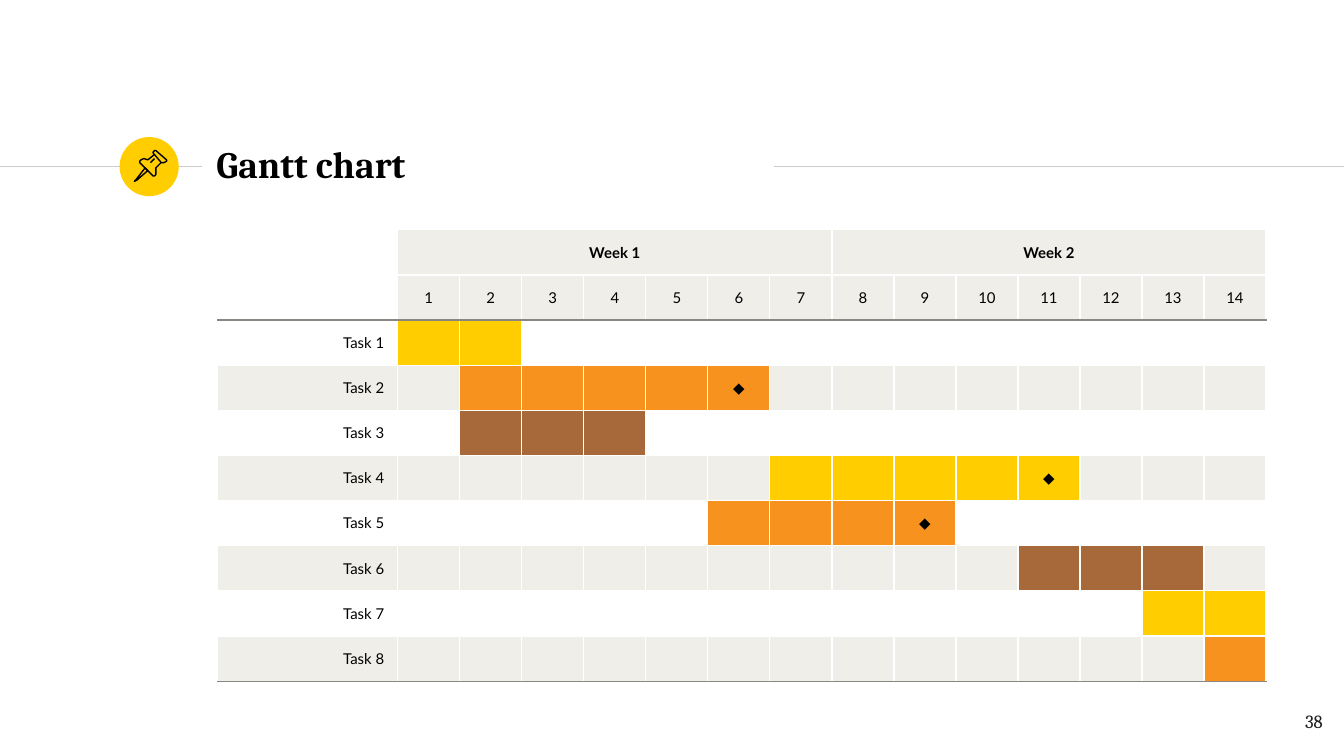
from lxml import etree
from pptx import Presentation
from pptx.dml.color import RGBColor
from pptx.enum.shapes import MSO_CONNECTOR, MSO_SHAPE
from pptx.enum.text import MSO_ANCHOR, PP_ALIGN
from pptx.oxml.ns import qn
from pptx.util import Inches, Pt

STRAIGHT, OVAL = MSO_CONNECTOR.STRAIGHT, MSO_SHAPE.OVAL
MIDDLE = MSO_ANCHOR.MIDDLE
LEFT, CENTER, RIGHT = PP_ALIGN.LEFT, PP_ALIGN.CENTER, PP_ALIGN.RIGHT

BLACK = RGBColor(0x00, 0x00, 0x00)
INK = RGBColor(0x1D, 0x1D, 0x1B)
WHITE = RGBColor(0xFF, 0xFF, 0xFF)
RULE_GRAY = RGBColor(0xCC, 0xCC, 0xCC)
BORDER_GRAY = RGBColor(0x8A, 0x86, 0x82)
BAND = RGBColor(0xF0, 0xEE, 0xE9)
YELLOW = RGBColor(0xFF, 0xCD, 0x00)
ORANGE = RGBColor(0xF6, 0x92, 0x1D)
BROWN = RGBColor(0xA7, 0x69, 0x3A)

TITLE = "Gantt chart"
PAGE = "38"
WEEKS = ["Week 1", "Week 2"]
DAYS_PER_WEEK = 7
MILESTONE = "◆"
TASKS = [
    ("Task 1", 1, 2, YELLOW, None),
    ("Task 2", 2, 6, ORANGE, 6),
    ("Task 3", 2, 4, BROWN, None),
    ("Task 4", 7, 11, YELLOW, 11),
    ("Task 5", 6, 9, ORANGE, 9),
    ("Task 6", 11, 13, BROWN, None),
    ("Task 7", 13, 14, YELLOW, None),
    ("Task 8", 14, 14, ORANGE, None),
]
PIN_PARTS = [
    ([(108, 125), (101, 134), (100, 135), (102, 134), (110, 127)], True),
    ([(115, 115), (120, 121), (122, 121), (123.5, 120.5), (124, 120),
      (124, 119), (116, 112), (115, 112), (114, 113), (114, 114)], True),
    ([(115, 115), (110, 119), (107, 118.5), (105, 119), (104, 120),
      (104, 121), (114, 131), (115, 131), (116, 130), (116.5, 128),
      (116, 125), (120, 121)], False),
    ([(112, 121), (115, 118)], False),
]

SLIDE_W = 10
SLIDE_H = SLIDE_W * 9 / 16
RULE_Y = 1.24
TABLE_LEFT, TABLE_TOP, TABLE_RIGHT, TABLE_BOTTOM = 1.62, 1.71, 9.42, 5.07
LABEL_W = 1.34
HEADER_ROWS = 2
DAYS = len(WEEKS) * DAYS_PER_WEEK
DAY_W = (TABLE_RIGHT - TABLE_LEFT - LABEL_W) / DAYS
ROWS = HEADER_ROWS + len(TASKS)
ROW_H = (TABLE_BOTTOM - TABLE_TOP) / ROWS


def write(frame, text, font, size, color, align, bold=False):
    paragraph = frame.paragraphs[0]
    paragraph.text = text
    paragraph.alignment = align
    paragraph.font.name = font
    paragraph.font.size = Pt(size)
    paragraph.font.bold = bold
    paragraph.font.color.rgb = color
    if not text:
        etree.SubElement(paragraph._p, qn("a:endParaRPr"), sz=str(size * 100))


def pad(frame):
    frame.margin_left = frame.margin_right = Inches(0.1)
    frame.margin_top = frame.margin_bottom = Inches(0.1)
    frame.word_wrap = True


def add_rule(slide, start, end):
    rule = slide.shapes.add_connector(
        STRAIGHT, Inches(start), Inches(RULE_Y), Inches(end), Inches(RULE_Y))
    rule.line.color.rgb = RULE_GRAY
    rule.line.width = Pt(0.75)
    etree.SubElement(rule._element.spPr, qn("a:effectLst"))


def add_badge(slide):
    badge = slide.shapes.add_shape(
        OVAL, Inches(0.89), Inches(1.02), Inches(0.44), Inches(0.44))
    badge.shadow.inherit = False
    badge.fill.solid()
    badge.fill.fore_color.rgb = YELLOW
    badge.line.fill.background()
    for points, closed in PIN_PARTS:
        builder = slide.shapes.build_freeform(*points[0], scale=Inches(0.01))
        builder.add_line_segments(points[1:], close=closed)
        part = builder.convert_to_shape()
        part.shadow.inherit = False
        part.fill.background()
        part.line.color.rgb = BLACK
        part.line.width = Pt(0.75)


def set_borders(cell, row):
    properties = cell._tc.get_or_add_tcPr()
    gray_top = row == HEADER_ROWS
    gray_bottom = row in (HEADER_ROWS - 1, ROWS - 1)
    sides = [("a:lnL", False), ("a:lnR", False),
             ("a:lnT", gray_top), ("a:lnB", gray_bottom)]
    for position, (tag, gray) in enumerate(sides):
        border = etree.Element(qn(tag), w=str(Pt(0.75)))
        fill = etree.SubElement(border, qn("a:solidFill"))
        etree.SubElement(fill, qn("a:srgbClr"),
                         val=str(BORDER_GRAY if gray else WHITE))
        properties.insert(position, border)


def cell_content(row, day):
    if row < HEADER_ROWS:
        if day == 0:
            return "", None
        if row == 1:
            return str(day), BAND
        week, offset = divmod(day - 1, DAYS_PER_WEEK)
        return (WEEKS[week] if offset == 0 else ""), BAND
    name, first, last, color, milestone = TASKS[row - HEADER_ROWS]
    band = BAND if (row - HEADER_ROWS) % 2 else None
    if day == 0:
        return name, band
    return (MILESTONE if day == milestone else "",
            color if first <= day <= last else band)


def add_gantt(slide):
    table = slide.shapes.add_table(
        ROWS, DAYS + 1, Inches(TABLE_LEFT), Inches(TABLE_TOP),
        Inches(TABLE_RIGHT - TABLE_LEFT), Inches(ROWS * ROW_H)).table
    table.first_row = table.horz_banding = False
    for day, column in enumerate(table.columns):
        column.width = Inches(DAY_W if day else LABEL_W)
    for row, table_row in enumerate(table.rows):
        table_row.height = Inches(ROW_H)
        for day, cell in enumerate(table_row.cells):
            text, fill = cell_content(row, day)
            cell.vertical_anchor = MIDDLE
            write(cell.text_frame, text, "Lato", 8, BLACK,
                  CENTER if day else RIGHT, bold=row == 0)
            if fill is None:
                cell.fill.background()
            else:
                cell.fill.solid()
                cell.fill.fore_color.rgb = fill
            set_borders(cell, row)
    for week in range(len(WEEKS)):
        first = 1 + week * DAYS_PER_WEEK
        table.cell(0, first).merge(table.cell(0, first + DAYS_PER_WEEK - 1))


def main():
    deck = Presentation()
    deck.slide_width, deck.slide_height = Inches(SLIDE_W), Inches(SLIDE_H)
    slide = deck.slides.add_slide(deck.slide_layouts[5])

    add_rule(slide, 0, 1.5)
    add_rule(slide, 5.76, SLIDE_W)
    add_badge(slide)

    title = slide.shapes.title
    title.left, title.top = Inches(1.51), Inches(0.98)
    title.width, title.height = Inches(4.24), Inches(0.48)
    pad(title.text_frame)
    title.text_frame.vertical_anchor = MIDDLE
    write(title.text_frame, TITLE, "Cambria", 20, BLACK, LEFT, bold=True)

    page = slide.shapes.add_textbox(
        Inches(9.34), Inches(5.2), Inches(0.6), Inches(0.43))
    pad(page.text_frame)
    write(page.text_frame, PAGE, "Cambria", 10, INK, RIGHT)

    add_gantt(slide)
    deck.save("out.pptx")


if __name__ == "__main__":
    main()
